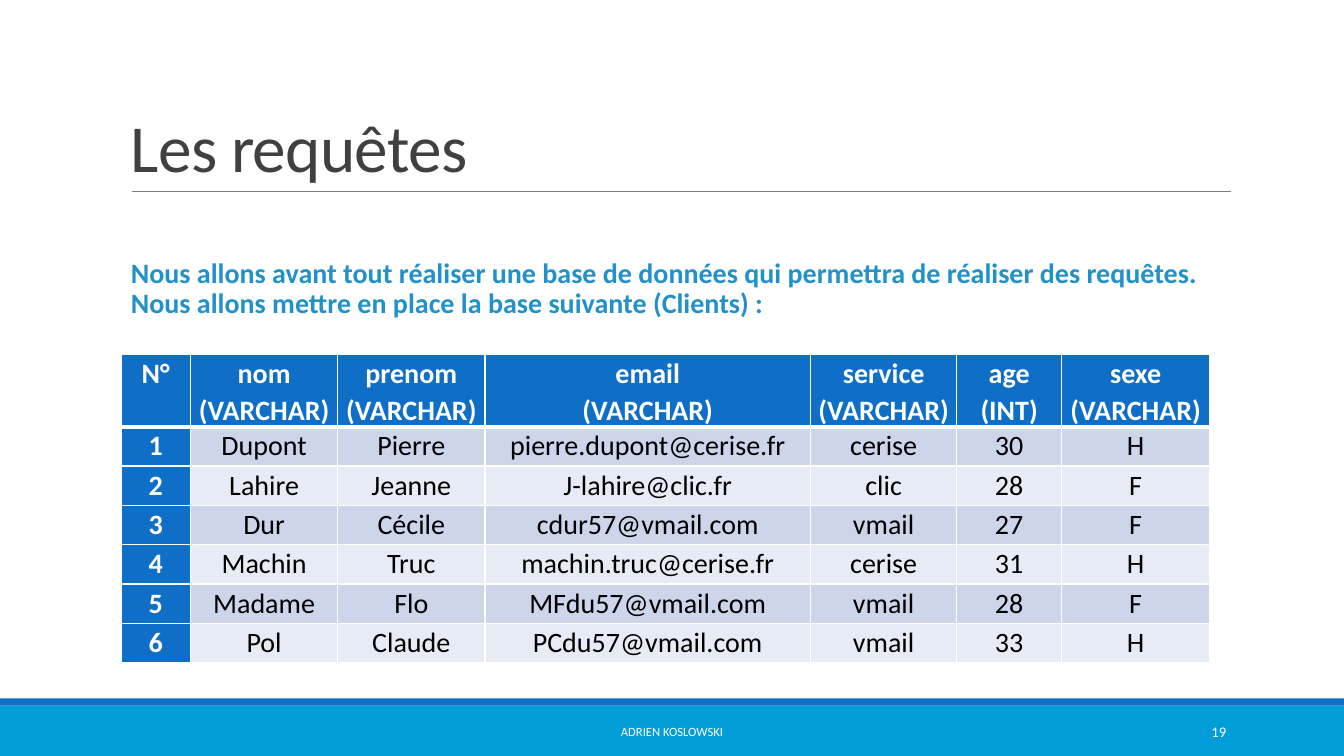
import pptx
import pptx.dml.color
import pptx.enum.shapes
import pptx.enum.text
import pptx.oxml
import pptx.oxml.ns
import pptx.util

Inches = pptx.util.Inches
Pt = pptx.util.Pt
RGBColor = pptx.dml.color.RGBColor
ALIGN = pptx.enum.text.PP_ALIGN
ANCHOR = pptx.enum.text.MSO_ANCHOR

WHITE = RGBColor(0xFF, 0xFF, 0xFF)
BLACK = RGBColor(0x00, 0x00, 0x00)
DARK_GREY = RGBColor(0x40, 0x40, 0x40)
MID_GREY = RGBColor(0x80, 0x80, 0x80)
CYAN = RGBColor(0x00, 0x9D, 0xD9)
BLUE = RGBColor(0x0F, 0x6F, 0xC6)
TEXT_BLUE = RGBColor(0x21, 0x91, 0xC9)
BANDS = (RGBColor(0xCC, 0xD5, 0xEA), RGBColor(0xE7, 0xEB, 0xF5))

FONT = "Calibri"
COLUMN_WIDTHS = (0.69, 1.46, 1.46, 3.23, 1.45, 1.04, 1.47)
HEADER_HEIGHT = 0.7
ROW_HEIGHT = 0.39
CLIENTS = (
    ("N°", "nom\n(VARCHAR)", "prenom\n(VARCHAR)", "email\n(VARCHAR)",
     "service\n(VARCHAR)", "age\n(INT)", "sexe\n(VARCHAR)"),
    ("1", "Dupont", "Pierre", "pierre.dupont@cerise.fr", "cerise", "30", "H"),
    ("2", "Lahire", "Jeanne", "J-lahire@clic.fr", "clic", "28", "F"),
    ("3", "Dur", "Cécile", "cdur57@vmail.com", "vmail", "27", "F"),
    ("4", "Machin", "Truc", "machin.truc@cerise.fr", "cerise", "31", "H"),
    ("5", "Madame", "Flo", "MFdu57@vmail.com", "vmail", "28", "F"),
    ("6", "Pol", "Claude", "PCdu57@vmail.com", "vmail", "33", "H"),
)


def set_all(target, values):
    for name, value in values.items():
        setattr(target, name, value)


def write_text(frame, text, size, color, bold=False, align=ALIGN.LEFT, spacing=1.0):
    frame.text = text
    for para in frame.paragraphs:
        set_all(para, {"alignment": align, "line_spacing": spacing})
        for span in para.runs:
            set_all(span.font, {"name": FONT, "size": Pt(size), "bold": bold})
            span.font.color.rgb = color


def add_text(page, box, text, size, color, anchor=ANCHOR.MIDDLE, **style):
    frame = page.shapes.add_textbox(*map(Inches, box)).text_frame
    set_all(frame, {"word_wrap": True, "vertical_anchor": anchor})
    write_text(frame, text, size, color, **style)
    return frame


def add_bar(page, box, color):
    bar = page.shapes.add_shape(
        pptx.enum.shapes.MSO_SHAPE.RECTANGLE, *map(Inches, box))
    bar.shadow.inherit = False
    bar.fill.solid()
    bar.fill.fore_color.rgb = color
    bar.line.fill.background()


def add_footer(page, box):
    left, top, width, height = box
    add_bar(page, (left, top + 0.07, width, height - 0.07), CYAN)
    add_bar(page, (left, top, width, 0.07), BLUE)
    add_text(page, (left + 4.03, top + 0.13, 5.27, 0.4), "ADRIEN KOSLOWSKI",
             9, WHITE, align=ALIGN.CENTER)
    add_text(page, (left + 10.83, top + 0.13, 1.43, 0.4), "19",
             10.5, WHITE, align=ALIGN.RIGHT)


def add_title(page, box):
    left, top, width, height = box
    bottom = top + height
    rule = page.shapes.add_connector(
        pptx.enum.shapes.MSO_CONNECTOR.STRAIGHT,
        *map(Inches, (left + 0.11, bottom, left + width + 0.01, bottom)))
    rule.line.color.rgb = MID_GREY
    rule.line.width = Pt(0.5)
    properties = rule.element.find(pptx.oxml.ns.qn("p:spPr"))
    properties.append(pptx.oxml.parse_xml(
        f'<a:effectLst {pptx.oxml.ns.nsdecls("a")}/>'))
    frame = add_text(page, box, "Les requêtes", 48, DARK_GREY,
                     anchor=ANCHOR.BOTTOM, spacing=0.85)
    span = frame.paragraphs[0].runs[0]
    span.font.element.set("spc", "-50") if hasattr(span.font, "element") else \
        span._r.get_or_add_rPr().set("spc", "-50")


def add_introduction(page, box):
    frame = add_text(
        page, box,
        "Nous allons avant tout réaliser une base de données qui permettra de "
        "réaliser des requêtes. Nous allons mettre en place la base suivante (Clients) :",
        20, TEXT_BLUE, anchor=ANCHOR.TOP, bold=True, spacing=0.9)
    frame.margin_right = 0


def add_borders(cell, bottom_width):
    properties = cell._tc.get_or_add_tcPr()
    for side, width in (("L", 1), ("R", 1), ("T", 1), ("B", bottom_width)):
        properties.append(pptx.oxml.parse_xml(
            f'<a:ln{side} {pptx.oxml.ns.nsdecls("a")} w="{Pt(width)}">'
            f'<a:solidFill><a:srgbClr val="{WHITE}"/></a:solidFill></a:ln{side}>'))


def add_clients_table(page, box):
    table = page.shapes.add_table(
        len(CLIENTS), len(COLUMN_WIDTHS), *map(Inches, box)).table
    for column, width in zip(table.columns, COLUMN_WIDTHS):
        column.width = Inches(width)
    margins = {"margin_left": Inches(0.07), "margin_right": Inches(0.07),
               "margin_top": 0, "margin_bottom": 0}
    for row_index, client in enumerate(CLIENTS):
        is_header = row_index == 0
        table.rows[row_index].height = Inches(HEADER_HEIGHT if is_header else ROW_HEIGHT)
        for column_index, value in enumerate(client):
            strong = is_header or column_index == 0
            cell = table.cell(row_index, column_index)
            set_all(cell, margins)
            add_borders(cell, 3 if is_header else 1)
            cell.fill.solid()
            cell.fill.fore_color.rgb = BLUE if strong else BANDS[(row_index - 1) % 2]
            write_text(cell.text_frame, value, 20, WHITE if strong else BLACK,
                       bold=strong, align=ALIGN.CENTER, spacing=1.07)
            if row_index == 1:
                for para in cell.text_frame.paragraphs:
                    para.space_before = Pt(0)


def main():
    deck = pptx.Presentation()
    set_all(deck, {"slide_width": Inches(13.33), "slide_height": Inches(7.5)})
    page = deck.slides.add_slide(deck.slide_layouts[6])
    add_footer(page, (0, 6.93, 13.33, 0.57))
    add_title(page, (1.2, 0.31, 11, 1.59))
    add_introduction(page, (1.2, 2.52, 11, 0.8))
    table_height = HEADER_HEIGHT + ROW_HEIGHT * (len(CLIENTS) - 1)
    add_clients_table(page, (1.2, 3.52, sum(COLUMN_WIDTHS), table_height))
    deck.save("out.pptx")


if __name__ == "__main__":
    main()
